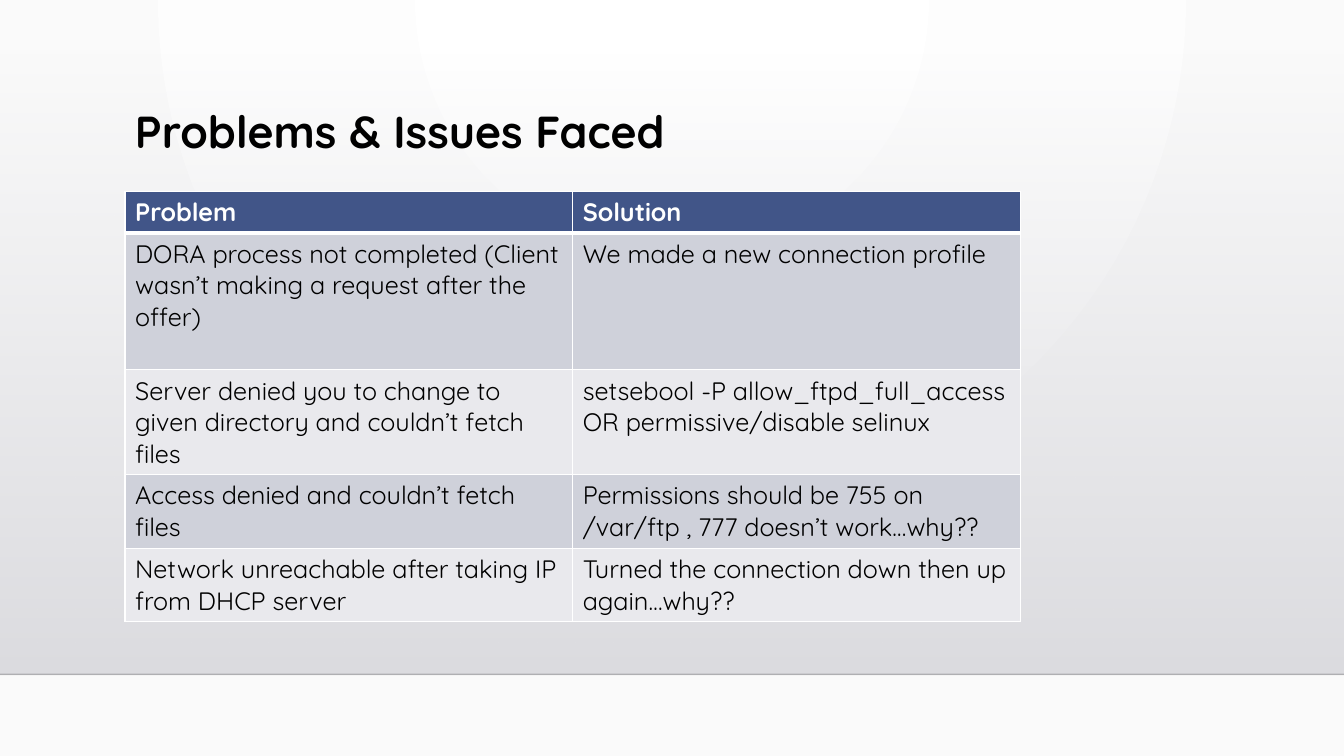
import pptx
import pptx.dml.color
import pptx.enum.shapes
import pptx.enum.text
import pptx.oxml.ns
import pptx.oxml.xmlchemy
import pptx.util

WIDTH, HEIGHT = 13.33, 7.5
LEFT_MARGIN = 1.24
FLOOR = 6.69
FONT = "Quicksand"
COLORS = {
    "white": "FFFFFF",
    "off_white": "FAFAFA",
    "haze_top": "DCDCE0",
    "haze_bottom": "DEDEE2",
    "floor_line": "000001",
    "text": "000000",
    "header": "415588",
    "odd_row": "CFD1DA",
    "even_row": "E9E9ED",
}
ROWS = [
    ("Problem", "Solution"),
    ("DORA process not completed (Client wasn’t making a request after the offer)",
     "We made a new connection profile"),
    ("Server denied you to change to given directory and couldn’t fetch files",
     "setsebool -P allow_ftpd_full_access\nOR permissive/disable selinux"),
    ("Access denied and couldn’t fetch files",
     "Permissions should be 755 on /var/ftp , 777 doesn’t work…why??"),
    ("Network unreachable after taking IP from DHCP server",
     "Turned the connection down then up again…why??"),
]
ROW_HEIGHTS = [0.41, 1.36, 1.04, 0.73, 0.73]
COLUMN_WIDTH = 4.44


def inches(*lengths):
    return [pptx.util.Inches(length) for length in lengths]


def rgb(name):
    return pptx.dml.color.RGBColor.from_string(COLORS[name])


def xml_child(parent, tag, **attributes):
    child = pptx.oxml.xmlchemy.OxmlElement(tag)
    for key, value in attributes.items():
        child.set(key, str(value))
    parent.append(child)
    return child


def find(element, tag):
    return next(element.iter(pptx.oxml.ns.qn(tag)))


def set_gradient(fill, names):
    fill.gradient()
    for stop, name, position in zip(fill.gradient_stops, names, (0, 1)):
        stop.color.rgb = rgb(name)
        stop.position = position


def format_text(text_frame, size, color, bold):
    for paragraph in text_frame.paragraphs:
        for run in paragraph.runs:
            run.font.name = FONT
            run.font.size = pptx.util.Pt(size)
            run.font.bold = bold
            run.font.color.rgb = rgb(color)


def set_background(slide):
    set_gradient(slide.background.fill, ("white", "off_white"))
    gradient = find(slide.element, "a:gradFill")
    gradient.remove(find(gradient, "a:lin"))
    circle = xml_child(gradient, "a:path", path="circle")
    xml_child(circle, "a:fillToRect", l=43000, t=0, r=43000, b=100000)


def add_haze(slide):
    top = 0.51
    shape = slide.shapes.add_shape(
        pptx.enum.shapes.MSO_SHAPE.RECTANGLE, *inches(0, top, WIDTH, FLOOR - top))
    shape.shadow.inherit = False
    shape.line.fill.background()
    set_gradient(shape.fill, ("haze_top", "haze_bottom"))
    shape.fill.gradient_angle = 270
    xml_child(find(shape.element, "a:srgbClr"), "a:alpha", val=0)


def add_floor_line(slide):
    line = slide.shapes.add_connector(
        pptx.enum.shapes.MSO_CONNECTOR.STRAIGHT, *inches(0, FLOOR, WIDTH, FLOOR))
    line.line.width = pptx.util.Pt(1)
    line.line.color.rgb = rgb("floor_line")
    xml_child(find(line.line._get_or_add_ln(), "a:srgbClr"), "a:alpha", val=20000)
    xml_child(find(line.element if hasattr(line, "element") else line._element, "p:spPr"),
              "a:effectLst")


def add_title(slide, text):
    box = slide.shapes.add_textbox(*inches(LEFT_MARGIN, 1.04, 10.5, 1.15))
    box.text_frame.word_wrap = True
    box.text_frame.vertical_anchor = pptx.enum.text.MSO_ANCHOR.TOP
    box.text_frame.text = text
    box.text_frame.paragraphs[0].line_spacing = 0.9
    format_text(box.text_frame, 32, "text", True)


def set_borders(cell, bottom_width, top_width):
    properties = cell._tc.get_or_add_tcPr()
    widths = {"a:lnL": 1, "a:lnR": 1, "a:lnT": top_width, "a:lnB": bottom_width}
    for index, (tag, width) in enumerate(widths.items()):
        border = pptx.oxml.xmlchemy.OxmlElement(tag)
        border.set("w", str(pptx.util.Pt(width)))
        solid = xml_child(border, "a:solidFill")
        xml_child(solid, "a:srgbClr", val=COLORS["white"])
        properties.insert(index, border)


def add_problem_table(slide):
    size = (COLUMN_WIDTH * len(ROWS[0]), sum(ROW_HEIGHTS))
    frame = slide.shapes.add_table(
        len(ROWS), len(ROWS[0]), *inches(LEFT_MARGIN, 1.9, *size))
    table = frame.table
    for column in table.columns:
        column.width = pptx.util.Inches(COLUMN_WIDTH)
    for index, (row, height, texts) in enumerate(zip(table.rows, ROW_HEIGHTS, ROWS)):
        row.height = pptx.util.Inches(height)
        header = index == 0
        fill = "header" if header else ("even_row", "odd_row")[index % 2]
        for cell, text in zip(row.cells, texts):
            cell.text_frame.text = text
            format_text(cell.text_frame, 18, "white" if header else "text", header)
            cell.fill.solid()
            cell.fill.fore_color.rgb = rgb(fill)
            set_borders(cell, 3 if header else 1, 3 if index == 1 else 1)


def main():
    presentation = pptx.Presentation()
    presentation.slide_width, presentation.slide_height = inches(WIDTH, HEIGHT)
    slide = presentation.slides.add_slide(presentation.slide_layouts[6])
    set_background(slide)
    add_haze(slide)
    add_floor_line(slide)
    add_title(slide, "Problems & Issues Faced")
    add_problem_table(slide)
    presentation.save("out.pptx")


if __name__ == "__main__":
    main()
